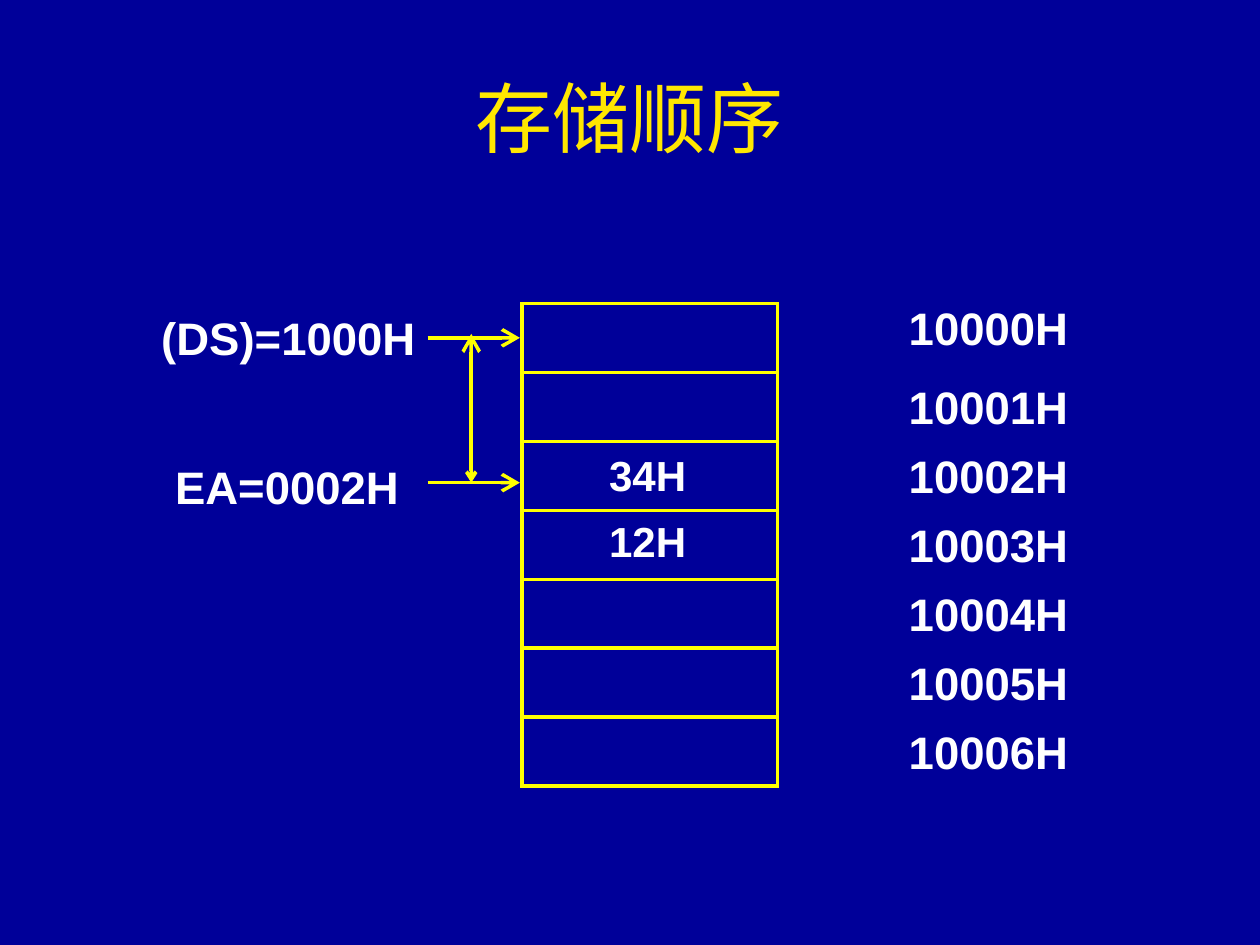
from dataclasses import dataclass

import lxml.etree
import pptx
import pptx.dml.color
import pptx.enum.shapes
import pptx.enum.text
import pptx.oxml.ns
import pptx.util
from pptx.util import Cm


@dataclass(frozen=True)
class Theme:
    background: str = "000099"
    title_color: str = "FFE701"
    text_color: str = "FFFFFF"
    line_color: str = "FFFF00"
    font: str = "Arial"
    title_size: int = 44
    label_size: int = 26
    value_size: int = 24
    line_width: int = 2


def rgb(color):
    return pptx.dml.color.RGBColor.from_string(color)


class SlideBuilder:
    """Draws elements on one slide in one style; positions are in centimetres."""

    def __init__(self, slide, theme):
        self.slide = slide
        self.theme = theme
        fill = slide.background.fill
        fill.solid()
        fill.fore_color.rgb = rgb(theme.background)

    def format_runs(self, paragraph, size, color, bold):
        for run in paragraph.runs:
            run.font.name = self.theme.font
            run.font.size = pptx.util.Pt(size)
            run.font.bold = bold
            run.font.color.rgb = rgb(color)

    def format_line(self, line):
        """Set colour, width and square corners; return the line's XML element."""
        line.color.rgb = rgb(self.theme.line_color)
        line.width = pptx.util.Pt(self.theme.line_width)
        element = line._get_or_add_ln()
        lxml.etree.SubElement(element, pptx.oxml.ns.qn("a:miter"), lim="800000")
        return element

    def title(self, text, left, top, width, height):
        shape = self.slide.shapes.title
        shape.left, shape.top = Cm(left), Cm(top)
        shape.width, shape.height = Cm(width), Cm(height)
        frame = shape.text_frame
        frame.text = text
        frame.vertical_anchor = pptx.enum.text.MSO_ANCHOR.MIDDLE
        paragraph = frame.paragraphs[0]
        paragraph.alignment = pptx.enum.text.PP_ALIGN.CENTER
        self.format_runs(paragraph, self.theme.title_size, self.theme.title_color, False)

    def label(self, text, left, top, width, height, size):
        shape = self.slide.shapes.add_textbox(Cm(left), Cm(top), Cm(width), Cm(height))
        frame = shape.text_frame
        frame.text = text
        frame.word_wrap = False
        frame.auto_size = pptx.enum.text.MSO_AUTO_SIZE.SHAPE_TO_FIT_TEXT
        self.format_runs(frame.paragraphs[0], size, self.theme.text_color, True)

    def memory_cell(self, left, top, width, height):
        shape = self.slide.shapes.add_shape(
            pptx.enum.shapes.MSO_SHAPE.RECTANGLE, Cm(left), Cm(top), Cm(width), Cm(height))
        shape.shadow.inherit = False
        shape.fill.background()
        self.format_line(shape.line)

    def arrow(self, start, end, start_head=None, end_head="lg"):
        """Each head is an arrowhead size (sm, med, lg), or None for a plain end."""
        connector = self.slide.shapes.add_connector(
            pptx.enum.shapes.MSO_CONNECTOR.STRAIGHT,
            Cm(start[0]), Cm(start[1]), Cm(end[0]), Cm(end[1]))
        line = self.format_line(connector.line)
        for tag, size in (("a:headEnd", start_head), ("a:tailEnd", end_head)):
            if size:
                lxml.etree.SubElement(line, pptx.oxml.ns.qn(tag), type="arrow", w=size, len=size)
        lxml.etree.SubElement(connector._element.spPr, pptx.oxml.ns.qn("a:effectLst"))


CELL_LEFT, CELL_TOP = 10.52, 6.12
CELL_WIDTH, CELL_HEIGHT = 5.16, 1.39
ADDRESSES = [f"1000{index}H" for index in range(7)]
FIRST_ADDRESS_LIFT = 0.2
ADDRESS_LEFT, ADDRESS_WIDTH = 18.07, 3.75
LABEL_HEIGHT, VALUE_HEIGHT = 1.37, 1.27
POINTER_LEFT, OFFSET_X = 8.62, 9.5
SEGMENT_Y, OFFSET_Y = 6.81, 9.73


def main():
    presentation = pptx.Presentation()
    presentation.slide_width, presentation.slide_height = Cm(25.4), Cm(19.05)
    theme = Theme()
    slide = presentation.slides.add_slide(presentation.slide_layouts.get_by_name("Title Only"))
    builder = SlideBuilder(slide, theme)
    builder.title("存储顺序", 1.27, 0.76, 22.86, 3.18)

    for index, address in enumerate(ADDRESSES):
        top = CELL_TOP + index * CELL_HEIGHT
        builder.memory_cell(CELL_LEFT, top, CELL_WIDTH, CELL_HEIGHT)
        address_top = top + 0.01 if index else top - FIRST_ADDRESS_LIFT
        builder.label(address, ADDRESS_LEFT, address_top, ADDRESS_WIDTH, LABEL_HEIGHT,
                      theme.label_size)

    for text, top in (("34H", 8.93), ("12H", 10.26)):
        builder.label(text, 12.03, top, 2.1, VALUE_HEIGHT, theme.value_size)

    for text, left, top, width, pointer_y in (
            ("(DS)=1000H", 3.0, 6.12, 5.66, SEGMENT_Y),
            ("EA=0002H", 3.28, 9.12, 5.06, OFFSET_Y)):
        builder.label(text, left, top, width, LABEL_HEIGHT, theme.label_size)
        builder.arrow((POINTER_LEFT, pointer_y), (CELL_LEFT - 0.04, pointer_y))

    builder.arrow((OFFSET_X, OFFSET_Y), (OFFSET_X, SEGMENT_Y - 0.08), start_head="med")
    presentation.save("out.pptx")


if __name__ == "__main__":
    main()
